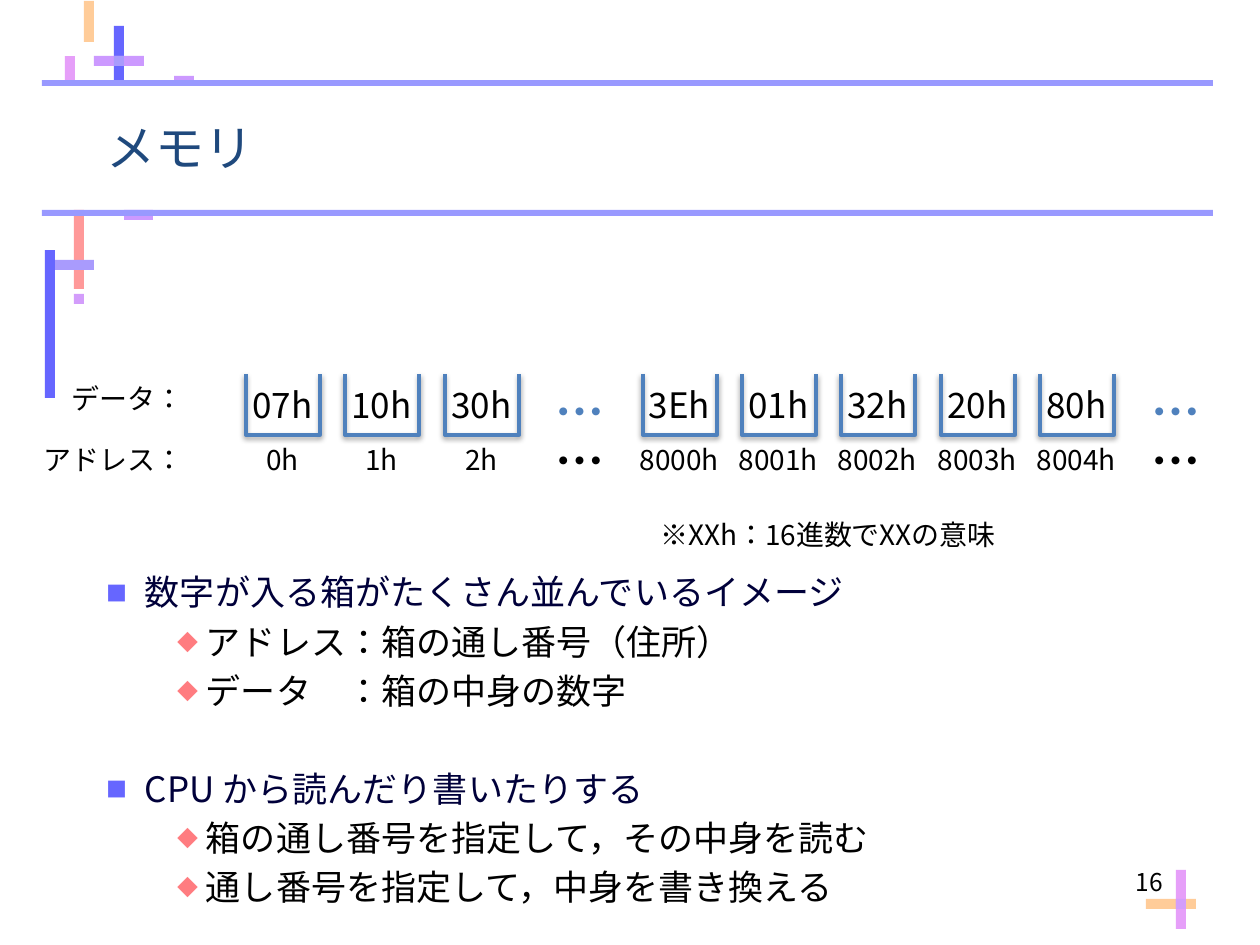
from lxml import etree
from pptx import Presentation
from pptx.dml.color import RGBColor
from pptx.enum.lang import MSO_LANGUAGE_ID
from pptx.enum.shapes import MSO_SHAPE
from pptx.enum.text import MSO_ANCHOR, PP_ALIGN
from pptx.oxml.ns import qn
from pptx.util import Emu, Pt

RECT = MSO_SHAPE.RECTANGLE
MIDDLE, TOP = MSO_ANCHOR.MIDDLE, MSO_ANCHOR.TOP
LEFT, CENTER, RIGHT = PP_ALIGN.LEFT, PP_ALIGN.CENTER, PP_ALIGN.RIGHT
JAPANESE = MSO_LANGUAGE_ID.JAPANESE

FONT = "Noto Sans CJK JP"
BLACK, NAVY, TITLE_BLUE, BOX_BLUE = "000000", "00003A", "1F497D", "4F81BD"
INDIGO, RULE, VIOLET, LILAC = "6666FF", "9999FF", "CC99FF", "A99BFD"
PEACH, PINK, SALMON, ORCHID = "FFCC99", "E69FF9", "FF9999", "D39DFB"
DIAMOND_RED = "FF7C80"


def px(value):
    return Emu(round(value * 914400 / 126))


def rgb(value):
    return RGBColor.from_string(value)


def add_xml(parent, tag, **attributes):
    return etree.SubElement(parent, qn(tag), attributes)


class SlideBuilder:
    def __init__(self, slide):
        self.shapes = slide.shapes

    def bar(self, x, y, w, h, color):
        bar = self.shapes.add_shape(RECT, px(x), px(y), px(w), px(h))
        bar.shadow.inherit = False
        bar.fill.solid()
        bar.fill.fore_color.rgb = rgb(color)
        bar.line.fill.background()

    def style(self, paragraph, size, color, bold=False):
        font = paragraph.font
        font.name, font.size, font.bold = FONT, Pt(size), bold
        font.color.rgb = rgb(color)
        font.language_id = JAPANESE
        for run in paragraph.runs:
            run.font.language_id = JAPANESE
        add_xml(paragraph._p.pPr.find(qn("a:defRPr")), "a:ea", typeface=FONT)

    def frame(self, x, y, w, h, anchor=MIDDLE):
        frame = self.shapes.add_textbox(px(x), px(y), px(w), px(h)).text_frame
        frame.word_wrap = True
        frame.vertical_anchor = anchor
        frame.margin_left = frame.margin_right = 0
        return frame

    def text(self, x, y, w, h, words, size, color=BLACK, align=CENTER,
             bold=False, anchor=MIDDLE):
        paragraph = self.frame(x, y, w, h, anchor).paragraphs[0]
        paragraph.text = words
        paragraph.alignment = align
        self.style(paragraph, size, color, bold)

    def open_box(self, x, y, w, h):
        outline = self.shapes.build_freeform(px(x), px(y), scale=1.0)
        corners = [(x, y + h), (x + w, y + h), (x + w, y)]
        outline.add_line_segments([(px(a), px(b)) for a, b in corners], close=False)
        box = outline.convert_to_shape()
        box.fill.background()
        box.line.color.rgb = rgb(BOX_BLUE)
        box.line.width = Pt(2)
        box.shadow.inherit = False
        effects = box._element.spPr.find(qn("a:effectLst"))
        shadow = add_xml(effects, "a:outerShdw", blurRad=str(Pt(3.1)),
                         dist=str(Pt(1.6)), dir="5400000", rotWithShape="0")
        shade = add_xml(shadow, "a:srgbClr", val=BLACK)
        add_xml(shade, "a:alpha", val="38000")

    def bullets(self, x, y, w, h, items, levels, size, pitch):
        frame = self.frame(x, y, w, h)
        for number, (level, words) in enumerate(items):
            paragraph = frame.add_paragraph() if number else frame.paragraphs[0]
            color, margin, hanging, mark, mark_color = levels[level]
            paragraph.text = words
            paragraph.level = level
            paragraph.line_spacing = Pt(pitch)
            # One row of space parts the two groups
            paragraph.space_before = Pt(pitch if number and level == 0 else 0)
            self.style(paragraph, size, color)
            properties = paragraph._p.pPr
            properties.set("marL", str(px(margin)))
            properties.set("indent", str(px(-hanging)))
            defaults = properties.find(qn("a:defRPr"))
            bullet_color = add_xml(properties, "a:buClr")
            add_xml(bullet_color, "a:srgbClr", val=mark_color)
            add_xml(properties, "a:buSzPct", val="60000")
            add_xml(properties, "a:buFont", typeface=FONT)
            add_xml(properties, "a:buChar", char=mark)
            properties.append(defaults)


presentation = Presentation()
presentation.slide_width, presentation.slide_height = px(1260), px(945)
page = SlideBuilder(presentation.slides.add_slide(presentation.slide_layouts[6]))

# Ornaments and title rules
ORNAMENTS = [
    (114, 26, 10, 59, INDIGO), (174, 76, 20, 10, VIOLET),
    (94, 56, 50, 10, VIOLET), (114, 56, 10, 10, LILAC),
    (84, 1, 10, 41, PEACH), (65, 56, 10, 30, PINK),
    (124, 210, 29, 10, VIOLET), (74, 210, 10, 79, SALMON),
    (54, 260, 40, 10, LILAC), (74, 294, 10, 10, ORCHID),
    (45, 250, 10, 148, INDIGO),
    (1146, 899, 50, 10, PEACH), (1176, 870, 10, 59, PINK),
    (1176, 899, 10, 10, ORCHID),
    (42, 210, 1171, 6, RULE), (42, 80, 1171, 6, RULE),
]
for ornament in ORNAMENTS:
    page.bar(*ornament)

# Title
page.text(107, 84, 1046, 126, "メモリ", 28, TITLE_BLUE, LEFT)

# Explanation
LEVELS = [(NAVY, 38, 38, "■", INDIGO), (BLACK, 99, 28, "◆", DIAMOND_RED)]
EXPLANATION = [
    (0, "数字が入る箱がたくさん並んでいるイメージ"),
    (1, "アドレス：箱の通し番号（住所）"),
    (1, "データ　：箱の中身の数字"),
    (0, "CPU から読んだり書いたりする"),
    (1, "箱の通し番号を指定して，その中身を読む"),
    (1, "通し番号を指定して，中身を書き換える"),
]
page.bullets(107, 568, 1056, 335, EXPLANATION, LEVELS, 20, 28)

# Memory cells with their addresses; None marks an omitted stretch
CELLS = [("07h", "0h"), ("10h", "1h"), ("30h", "2h"), None,
         ("3Eh", "8000h"), ("01h", "8001h"), ("32h", "8002h"),
         ("20h", "8003h"), ("80h", "8004h"), None]
CELL_LEFT, CELL_PITCH, ADDRESS_TOP = 233, 99.25, 447
for column, cell in enumerate(CELLS):
    x = round(CELL_LEFT + column * CELL_PITCH)
    if cell is None:
        for y, color in ((398, BOX_BLUE), (ADDRESS_TOP, BLACK)):
            page.text(x, y, 99, 25, "…", 28, color, bold=True)
    else:
        data, address = cell
        page.open_box(x + 13, 374, 74, 61)
        page.text(x, 374, 99, 62, data, 20)
        page.text(x, ADDRESS_TOP, 99, 25, address, 16)

# Row labels, note and page number
for y, label in ((386, "データ："), (ADDRESS_TOP, "アドレス：")):
    page.text(16, y, 167, 25, label, 16, align=RIGHT)
page.text(608, 522, 440, 25, "※XXh：16進数でXXの意味", 16)
page.text(998, 861, 165, 55, "16", 14, align=RIGHT, anchor=TOP)

presentation.save("out.pptx")
